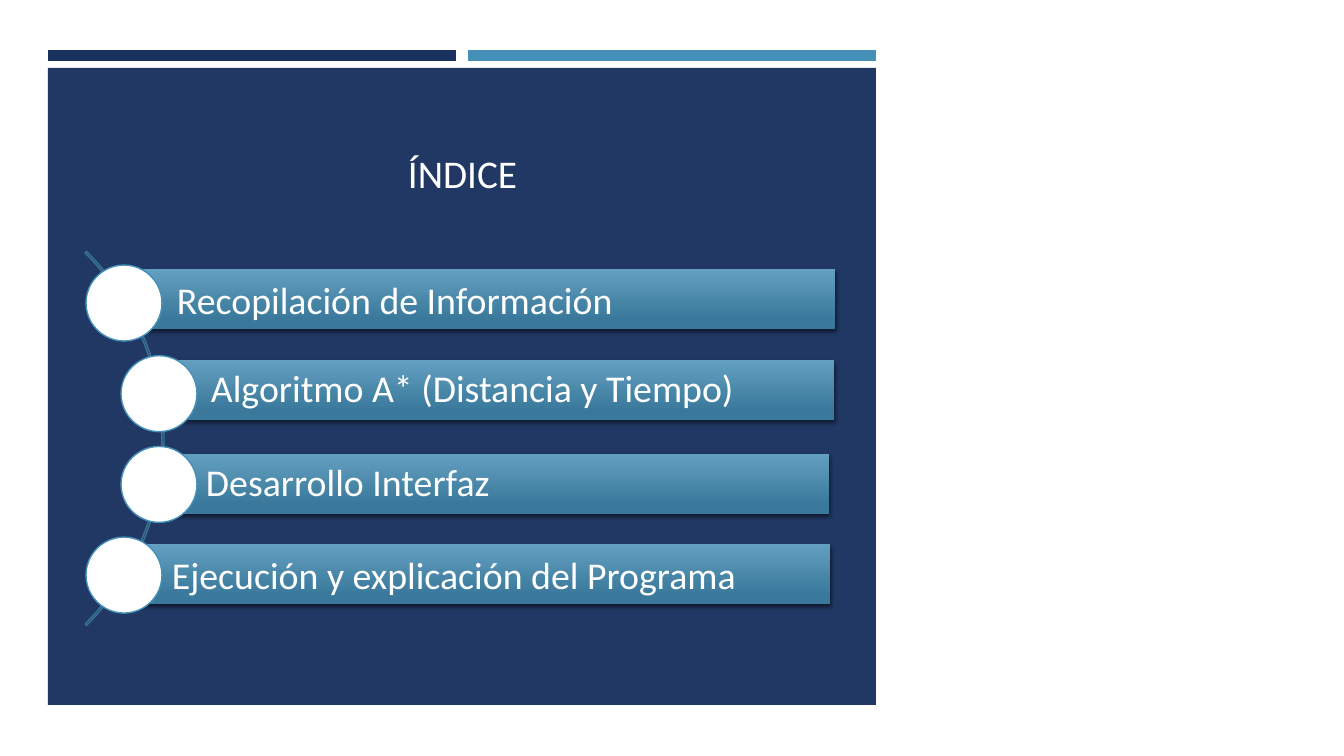
from lxml.etree import SubElement
from pptx import Presentation
from pptx.dml.color import RGBColor
from pptx.enum.shapes import MSO_SHAPE
from pptx.enum.text import MSO_ANCHOR, PP_ALIGN
from pptx.oxml.ns import qn
from pptx.util import Pt

# Content
TITLE = "ÍNDICE"
TOPICS = [  # text, bar left, bar top, bar width, circle left, line spacing
    ("Recopilación de Información", 129, 269, 706, 86, 1.0),
    ("Algoritmo A* (Distancia y Tiempo)", 163, 360, 671, 121, 0.9),
    ("Desarrollo Interfaz", 158, 454, 671, 121, 0.9),
    ("Ejecución y explicación del Programa", 124, 544, 706, 86, 1.0),
]
FONT = "Calibri"
NAVY, BLUE, TEAL, WHITE = "1A3260", "4590B8", "377393", "FFFFFF"
BAR_STOPS = [(0, "639FC1"), (0.84, "3A799B")]
BAR_HEIGHT = 60
CIRCLE_TOP, CIRCLE_STEP, CIRCLE_SIZE = 265, 90.7, 76
EMU_PER_PX = 914400 / 100.8


def px(length):
    return round(length * EMU_PER_PX)


def color(value):
    return RGBColor.from_string(value)


def add_part(kind, left, top, width, height, fill=None, line=None):
    shape = page.shapes.add_shape(kind, px(left), px(top), px(width), px(height))
    if fill:
        shape.fill.solid()
        shape.fill.fore_color.rgb = color(fill)
    else:
        shape.fill.background()
    if line:
        shape.line.color.rgb = color(line)
        shape.line.width = Pt(1)
    else:
        shape.line.fill.background()
    shape.shadow.inherit = False
    return shape


def write(box, text, size, align, insets, spacing=1.0):
    frame = box.text_frame
    frame.word_wrap = True
    frame.vertical_anchor = MSO_ANCHOR.MIDDLE
    frame.margin_left, frame.margin_top, frame.margin_right, frame.margin_bottom = map(px, insets)
    para = frame.paragraphs[0]
    para.alignment = align
    para.line_spacing = spacing
    span = para.add_run()
    span.text = text
    span.font.name = FONT
    span.font.size = Pt(size)
    span.font.color.rgb = color(WHITE)


def shade_bar(bar):
    bar.fill.gradient()
    bar.fill.gradient_angle = 270
    for stop, (position, value) in zip(bar.fill.gradient_stops, BAR_STOPS):
        stop.position = position
        stop.color.rgb = color(value)
    effects = bar._element.spPr.find(qn("a:effectLst"))
    shadow = SubElement(effects, qn("a:outerShdw"), blurRad=str(Pt(3)),
                        dist=str(Pt(2)), dir="5400000", rotWithShape="0")
    tint = SubElement(shadow, qn("a:srgbClr"), val="000000")
    SubElement(tint, qn("a:alpha"), val="55000")


deck = Presentation()
deck.slide_width, deck.slide_height = px(1344), px(756)
page = deck.slides.add_slide(deck.slide_layouts[6])
page.background.fill.solid()
page.background.fill.fore_color.rgb = color(WHITE)

# Panel and the two strips above it
panel = add_part(MSO_SHAPE.RECTANGLE, 48, 68, 828, 637, NAVY)
panel_color = panel._element.spPr.find(qn("a:solidFill")).find(qn("a:srgbClr"))
SubElement(panel_color, qn("a:alpha"), val="97000")
for left, fill in ((48, NAVY), (468, BLUE)):
    add_part(MSO_SHAPE.RECTANGLE, left, 50, 408, 11, fill)

# Title
title = page.shapes.add_textbox(px(65), px(111), px(795), px(124))
write(title, TITLE, 28, PP_ALIGN.CENTER, (10, 5, 10, 5))

# Arc behind the circles
arc = add_part(MSO_SHAPE.BLOCK_ARC, -365, 174, 529, 529, line=TEAL)
for index, value in enumerate((189, 27, 0.004)):
    arc.adjustments[index] = value

# Topic bars with their circles
for row, (text, left, top, width, circle_left, spacing) in enumerate(TOPICS):
    bar = add_part(MSO_SHAPE.RECTANGLE, left, top, width, BAR_HEIGHT)
    shade_bar(bar)
    write(bar, text, 27, PP_ALIGN.LEFT, (48, 7, 7, 7), spacing)
    add_part(MSO_SHAPE.OVAL, circle_left, CIRCLE_TOP + row * CIRCLE_STEP,
             CIRCLE_SIZE, CIRCLE_SIZE, WHITE, BLUE)

deck.save("out.pptx")
